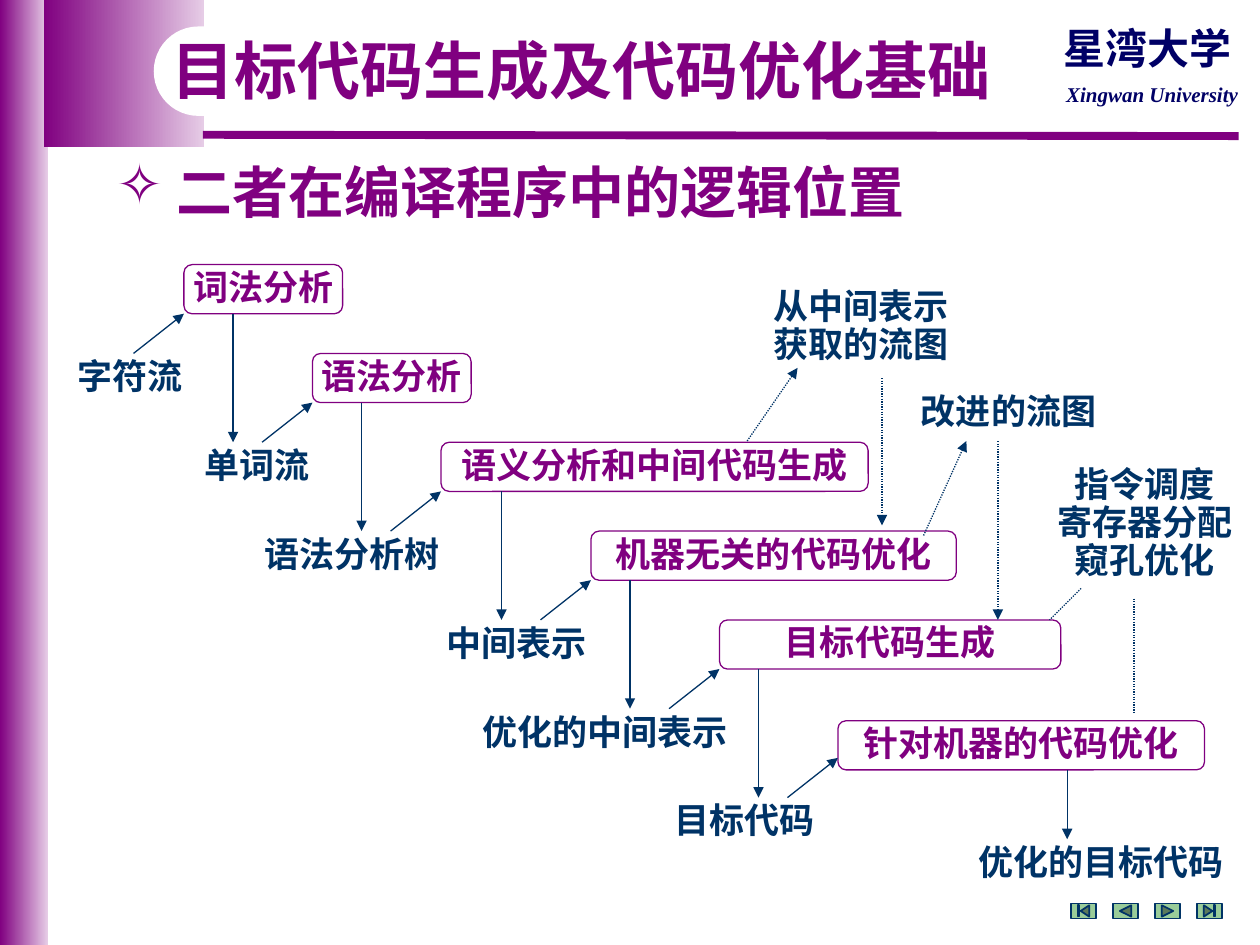
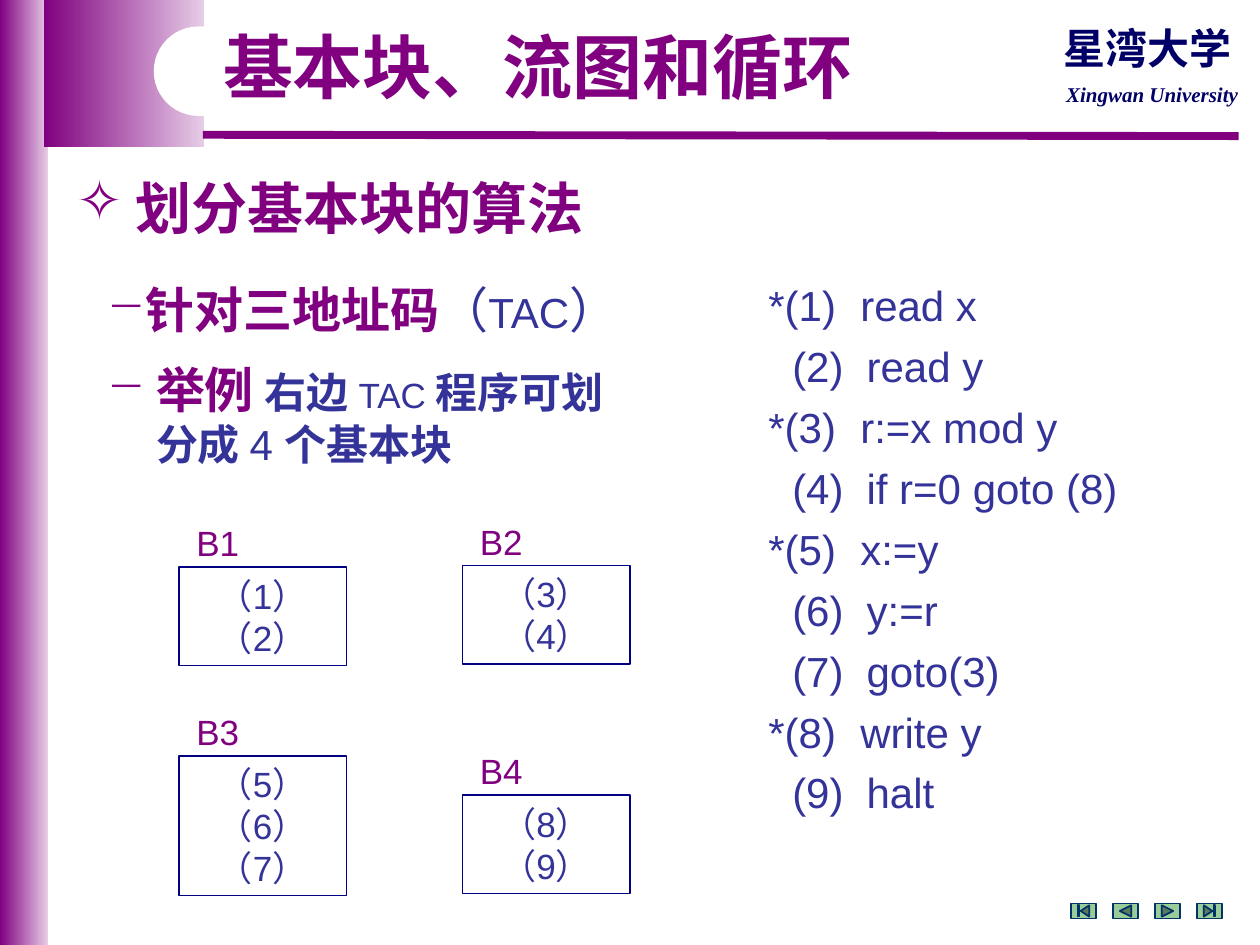
"""Build two lecture slides on target code generation and basic blocks."""
from dataclasses import dataclass

from lxml import etree
from pptx import Presentation
from pptx.dml.color import RGBColor
from pptx.enum.dml import MSO_LINE
from pptx.enum.shapes import MSO_CONNECTOR, MSO_SHAPE
from pptx.enum.text import MSO_ANCHOR, MSO_AUTO_SIZE, PP_ALIGN
from pptx.oxml.ns import qn
from pptx.util import Inches, Pt

STRAIGHT = MSO_CONNECTOR.STRAIGHT
DOTTED = MSO_LINE.ROUND_DOT
RECT = MSO_SHAPE.RECTANGLE
ROUNDED = MSO_SHAPE.ROUNDED_RECTANGLE
NAVIGATION = (MSO_SHAPE.ACTION_BUTTON_BEGINNING,
              MSO_SHAPE.ACTION_BUTTON_BACK_OR_PREVIOUS,
              MSO_SHAPE.ACTION_BUTTON_FORWARD_OR_NEXT,
              MSO_SHAPE.ACTION_BUTTON_END)
TOP, MIDDLE = MSO_ANCHOR.TOP, MSO_ANCHOR.MIDDLE
LEFT, CENTER = PP_ALIGN.LEFT, PP_ALIGN.CENTER
FIT, FIXED = MSO_AUTO_SIZE.SHAPE_TO_FIT_TEXT, MSO_AUTO_SIZE.NONE


@dataclass(frozen=True)
class Theme:
    """Colours, fonts and type sizes of the deck."""
    purple: str = "800080"
    lilac: str = "E6CCE6"
    navy: str = "003366"
    school: str = "000066"
    frame: str = "000080"
    indigo: str = "333399"
    green: str = "99CC99"
    white: str = "FFFFFF"
    sans: str = "Arial"
    cjk: str = "Noto Sans CJK SC"
    serif: str = "Times New Roman"
    heading: int = 32
    topic: int = 28
    body: int = 24
    label: int = 20
    small: int = 12


THEME = Theme()


@dataclass(frozen=True)
class Span:
    """A run of text with the format that differs from its paragraph."""
    text: str
    size: float | None = None
    color: str | None = None
    font: str | None = None
    bold: bool | None = None


@dataclass(frozen=True)
class Stage:
    """A compiler phase, its drop arrow and the product it hands on."""
    name: str
    left: float
    width: float
    drop: float
    product: str
    product_left: float
    product_width: float


@dataclass(frozen=True)
class Detail:
    """A side note on a phase, with its dotted lines."""
    lines: tuple
    at: tuple
    links: tuple
    arrow: bool = True


@dataclass(frozen=True)
class Block:
    """A basic block and its statement numbers."""
    name: str
    left: float
    top: float
    height: float
    numbers: tuple


STAGES = (
    Stage("词法分析", 1.46, 1.26, 1.85, "单词流", 1.52, 1.04),
    Stage("语法分析", 2.48, 1.26, 2.87, "语法分析树", 1.93, 1.73),
    Stage("语义分析和中间代码生成", 3.5, 3.39, 3.98, "中间表示", 3.43, 1.34),
    Stage("机器无关的代码优化", 4.69, 2.9, 5, "优化的中间表示", 3.66, 2.28),
    Stage("目标代码生成", 5.71, 2.71, 6.02, "目标代码", 5.24, 1.34),
    Stage("针对机器的代码优化", 6.65, 2.91, 8.47, "优化的目标代码", 7.6, 2.28),
)
FIRST_ROW, ROW_STEP, STAGE_HEIGHT = 2.1, 0.705, 0.39
LAST_STAGE_TOP, LAST_PRODUCT_TOP = 5.72, 6.66

DETAILS = (
    Detail(("从中间表示", "获取的流图"), (6, 2.25, 1.67, 0.7),
           ((5.93, 3.5, 6.33, 2.92), (7, 3, 7, 4.17))),
    Detail(("改进的流图",), (7.17, 3.08, 1.67, 0.4),
           ((7.33, 4.25, 7.67, 3.5), (7.92, 3.5, 7.92, 4.92))),
    Detail(("指令调度", "寄存器分配", "窥孔优化"), (8.25, 3.66, 1.67, 1),
           ((9, 4.75, 9, 5.67), (8.58, 4.67, 8.33, 4.92)), arrow=False),
)

BLOCKS = (
    Block("B1", 1.42, 4.5, 0.78, (1, 2)),
    Block("B2", 3.67, 4.49, 0.78, (3, 4)),
    Block("B3", 1.42, 6, 1.11, (5, 6, 7)),
    Block("B4", 3.67, 6.31, 0.78, (8, 9)),
)
STATEMENTS = ("read x", "read y", "r:=x mod y", "if r=0 goto (8)", "x:=y",
              "y:=r", "goto(3)", "write y", "halt")
LEADERS = (1, 3, 5, 8)


def rgb(color: str) -> RGBColor:
    """Turn a hex string into a colour."""
    return RGBColor.from_string(color)


def prepare(frame, wrap=True, anchor=TOP, fit=FIT):
    """Set wrapping, anchor and fitting of a text frame."""
    frame.word_wrap, frame.vertical_anchor, frame.auto_size = wrap, anchor, fit
    return frame


def write(frame, text, *, size=THEME.label, color=THEME.navy, font=THEME.sans,
          bold=False, italic=False, align=LEFT, spacing=1.0, before=0,
          bullet="", margin=0.0, hang=0.0):
    """Add one paragraph made of a string or a list of spans."""
    first = frame.paragraphs[0]
    paragraph = frame.add_paragraph() if first.runs else first
    paragraph.alignment, paragraph.line_spacing = align, spacing
    paragraph.space_before = Pt(before)
    properties = paragraph._p.get_or_add_pPr()
    properties.set("marL", str(Inches(margin)))
    properties.set("indent", str(-Inches(hang)))
    if bullet:
        etree.SubElement(properties, qn("a:buChar")).set("char", bullet)
    for span in [Span(text)] if isinstance(text, str) else text:
        run = paragraph.add_run()
        run.text = span.text
        run.font.size = Pt(span.size or size)
        run.font.color.rgb = rgb(span.color or color)
        run.font.name = span.font or font
        run.font.bold = bold if span.bold is None else span.bold
        run.font.italic = italic
        east_asian = etree.SubElement(run.font._element, qn("a:ea"))
        east_asian.set("typeface", THEME.cjk)


def text_box(slide, at: tuple, **options):
    """Add a text box and return its frame."""
    return prepare(slide.shapes.add_textbox(*map(Inches, at)).text_frame, **options)


def shape(slide, kind, at: tuple, fill=None, line=None, weight=0.75):
    """Add a flat preset shape."""
    drawn = slide.shapes.add_shape(kind, *map(Inches, at))
    drawn.shadow.inherit = False
    if fill:
        drawn.fill.solid()
        drawn.fill.fore_color.rgb = rgb(fill)
    else:
        drawn.fill.background()
    if line:
        drawn.line.color.rgb = rgb(line)
        drawn.line.width = Pt(weight)
    else:
        drawn.line.fill.background()
    return drawn


def connect(slide, ends: tuple, color=THEME.navy, weight=0.75, dash=None, arrow=True):
    """Draw a straight line, with an arrowhead at its end if wanted."""
    connector = slide.shapes.add_connector(STRAIGHT, *map(Inches, ends))
    connector.line.color.rgb = rgb(color)
    connector.line.width = Pt(weight)
    if dash:
        connector.line.dash_style = dash
    if arrow:
        outline = connector.line._get_or_add_ln()
        etree.SubElement(outline, qn("a:tailEnd")).set("type", "triangle")
    etree.SubElement(connector.element.spPr, qn("a:effectLst"))


def band(slide, at: tuple):
    """Draw a band that fades from purple to lilac."""
    fill = shape(slide, RECT, at).fill
    fill.gradient()
    fill.gradient_angle = 0
    for stop, color in zip(fill.gradient_stops, (THEME.purple, THEME.lilac)):
        stop.color.rgb = rgb(color)


def start_slide(deck, title: str, at: tuple, size: float, font: str):
    """Add a slide with bands, school name, navigation and title."""
    slide = deck.slides.add_slide(deck.slide_layouts[5])
    band(slide, (0, 0, 0.38, 7.5))
    band(slide, (0.35, 0, 1.27, 1.17))
    connect(slide, (1.61, 1.07, 9.83, 1.08), THEME.purple, 4.5, arrow=False)
    shape(slide, ROUNDED, (1.22, 0.21, 3.62, 0.71), THEME.white).adjustments[0] = 0.5
    write(text_box(slide, (8.33, 0.6, 1.63, 0.3), wrap=False), "Xingwan University",
          size=THEME.small, color=THEME.school, font=THEME.serif, bold=True,
          italic=True, align=CENTER)
    write(text_box(slide, (8.33, 0.13, 1.55, 0.5), wrap=False), "星湾大学",
          size=THEME.body, color=THEME.school, font=THEME.cjk, bold=True, align=CENTER)
    for index, button in enumerate(NAVIGATION):
        shape(slide, button, (8.5 + index / 3, 7.17, 0.2, 0.12),
              THEME.green, THEME.navy, 1)
    heading = slide.shapes.title
    heading.left, heading.top, heading.width, heading.height = map(Inches, at)
    write(prepare(heading.text_frame), title, size=size, color=THEME.purple,
          font=font, bold=True, spacing=0.9)
    heading.element.getparent().append(heading.element)
    return slide


def section(slide, text: str, at: tuple):
    """Write the section heading with its star bullet."""
    write(text_box(slide, at), text, size=THEME.heading, color=THEME.purple,
          font=THEME.cjk, bold=True, bullet="✧", margin=0.47, hang=0.47)


def note(slide, lines: tuple, at: tuple):
    """Write a centred bold label of one or more lines."""
    frame = text_box(slide, at, wrap=False)
    for line in lines:
        write(frame, line, bold=True, align=CENTER, spacing=0.9)


def draw_stage(slide, index: int, stage: Stage):
    """Draw a phase with its incoming arrow, drop arrow and product."""
    row = FIRST_ROW + index * ROW_STEP
    last = index == len(STAGES) - 1
    top = LAST_STAGE_TOP if last else row
    product_top = LAST_PRODUCT_TOP if last else row + 2 * ROW_STEP
    phase = shape(slide, ROUNDED, (stage.left, top, stage.width, STAGE_HEIGHT),
                  THEME.white, THEME.purple)
    write(prepare(phase.text_frame, wrap=False, anchor=MIDDLE, fit=FIXED), stage.name,
          color=THEME.purple, bold=True, align=CENTER, spacing=0.9)
    connect(slide, (stage.left - 0.4, row + ROW_STEP, stage.left, row + STAGE_HEIGHT))
    connect(slide, (stage.drop, top + STAGE_HEIGHT, stage.drop, product_top))
    note(slide, (stage.product,),
         (stage.product_left, product_top, stage.product_width, 0.4))


def draw_block(slide, block: Block):
    """Draw a basic block under its name."""
    box = shape(slide, RECT, (block.left, block.top, 1.33, block.height),
                line=THEME.frame)
    frame = prepare(box.text_frame, anchor=MIDDLE)
    for number in block.numbers:
        write(frame, f"（{number}）", color=THEME.indigo, align=CENTER)
    write(text_box(slide, (block.left + 0.04, block.top - 0.41, 0.54, 0.43), wrap=False),
          block.name, color=THEME.purple)


def pipeline_slide(deck):
    """Show where both phases sit in the compiler."""
    slide = start_slide(deck, "目标代码生成及代码优化基础", (1.26, 0.27, 6.73, 0.64),
                        36, THEME.cjk)
    section(slide, "二者在编译程序中的逻辑位置", (0.83, 1.2, 7.59, 0.63))
    note(slide, ("字符流",), (0.51, FIRST_ROW + ROW_STEP, 1.04, 0.4))
    for index, stage in enumerate(STAGES):
        draw_stage(slide, index, stage)
    for detail in DETAILS:
        note(slide, detail.lines, detail.at)
        for ends in detail.links:
            connect(slide, ends, dash=DOTTED, arrow=detail.arrow)


def blocks_slide(deck):
    """Show how a program splits into basic blocks."""
    slide = start_slide(deck, "基本块、流图和循环", (1.67, 0.21, 5.42, 0.7),
                        40, THEME.sans)
    section(slide, "划分基本块的算法", (0.51, 1.33, 5.66, 0.63))
    points = text_box(slide, (0.75, 2.17, 4.67, 1.6))
    plain = {"size": THEME.body, "color": THEME.indigo, "bold": True}
    topic = {"size": THEME.topic, "color": THEME.purple}
    write(points, [Span("针对三地址码", font=THEME.cjk, **topic),
                   Span("（", THEME.topic, bold=False), Span("TAC", bold=False),
                   Span("）", THEME.topic, bold=False)],
          bullet="−", margin=0.31, hang=0.31, **plain)
    write(points, [Span("举例 ", font=THEME.serif, **topic), Span("右边 "),
                   Span("TAC ", THEME.label, bold=False), Span("程序可划")],
          bullet="−", margin=0.39, hang=0.39, before=12, **plain)
    write(points, [Span("分成 "), Span("4 ", bold=False), Span("个基本块")],
          margin=0.39, **plain)
    program = text_box(slide, (6, 2.17, 3.17, 4.42), fit=FIXED)
    for number, statement in enumerate(STATEMENTS, 1):
        mark, margin, hang = ("*", 0.73, 0.73) if number in LEADERS else ("", 0.78, 0.59)
        write(program, f"{mark}({number})\t{statement}", size=THEME.body,
              color=THEME.indigo, before=6, margin=margin, hang=hang)
    for block in BLOCKS:
        draw_block(slide, block)


def main():
    """Build and save the deck."""
    deck = Presentation()
    deck.slide_width, deck.slide_height = Inches(10), Inches(7.5)
    pipeline_slide(deck)
    blocks_slide(deck)
    deck.save("out.pptx")


main()
